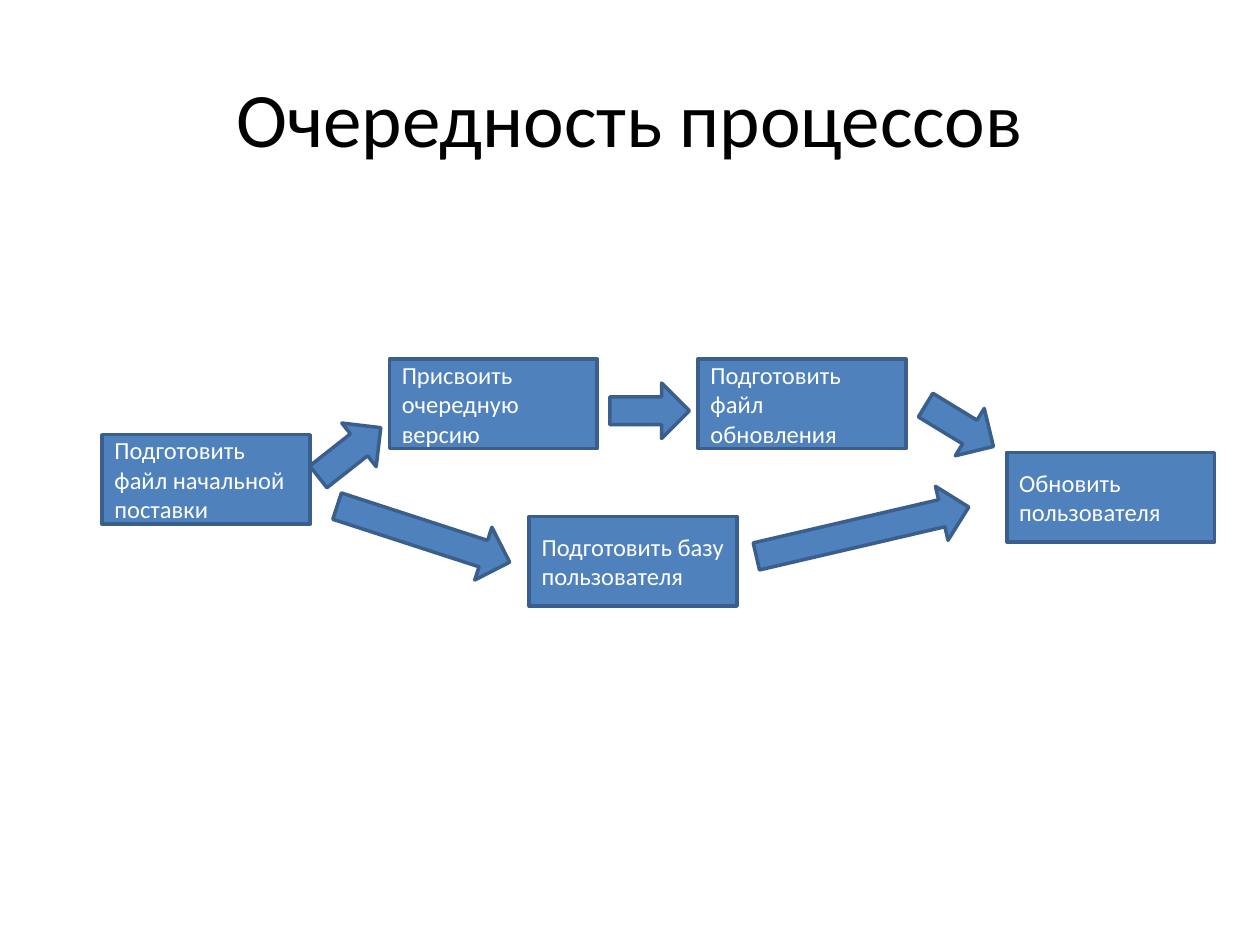
"""Builds a slide with the order of the update processes."""
from pptx import Presentation
from pptx.dml.color import RGBColor
from pptx.enum.shapes import MSO_SHAPE
from pptx.enum.text import MSO_ANCHOR, PP_ALIGN
from pptx.util import Pt

RECT, ARROW = MSO_SHAPE.RECTANGLE, MSO_SHAPE.RIGHT_ARROW
MIDDLE = MSO_ANCHOR.MIDDLE
LEFT, CENTER = PP_ALIGN.LEFT, PP_ALIGN.CENTER
FONT = "Calibri"
COLORS = {"fill": "4F81BD", "line": "3A5F8C", "light": "FFFFFF", "dark": "000000"}


def write(shape, text, size, color, align):
    frame = shape.text_frame
    frame.text = text
    frame.word_wrap = True
    frame.vertical_anchor = MIDDLE
    para = frame.paragraphs[0]
    para.alignment = align
    font = para.runs[0].font
    font.name = FONT
    font.size = Pt(size)
    font.color.rgb = RGBColor.from_string(COLORS[color])


def draw(kind, left, top, width, height):
    shape = slide.shapes.add_shape(kind, Pt(left), Pt(top), Pt(width), Pt(height))
    shape.shadow.inherit = False
    shape.fill.solid()
    shape.fill.fore_color.rgb = RGBColor.from_string(COLORS["fill"])
    shape.line.color.rgb = RGBColor.from_string(COLORS["line"])
    shape.line.width = Pt(2)
    return shape


deck = Presentation()
deck.slide_width, deck.slide_height = Pt(720), Pt(540)
slide = deck.slides.add_slide(deck.slide_layouts[5])

title = slide.shapes.title
title.left, title.top, title.width, title.height = Pt(36), Pt(21.6), Pt(648), Pt(90)
write(title, "Очередность процессов", 44, "dark", CENTER)

BOX_W, BOX_H = 118.8, 51.2
steps = [
    ("Подготовить файл начальной поставки", 58.3, 248.4),
    ("Подготовить файл обновления", 398.9, 205.2),
    ("Подготовить базу пользователя", 302.4, 295.2),
    ("Присвоить очередную версию", 222.5, 205.2),
    ("Обновить пользователя", 575.3, 258.5),
]
for text, left, top in steps:
    write(draw(RECT, left, top, BOX_W, BOX_H), text, 14, "light", LEFT)

ARROW_H, SHORT = 31.7, 45.4
arrows = [
    (177.1, 242.6, SHORT, 321.8),
    (190.1, 289.4, 103.7, 18),
    (348.5, 218.9, SHORT, 0),
    (430.6, 288, 124.6, 346.9),
    (525.6, 227.5, SHORT, 31.4),
]
for left, top, width, angle in arrows:
    draw(ARROW, left, top, width, ARROW_H).rotation = angle

deck.save("out.pptx")
